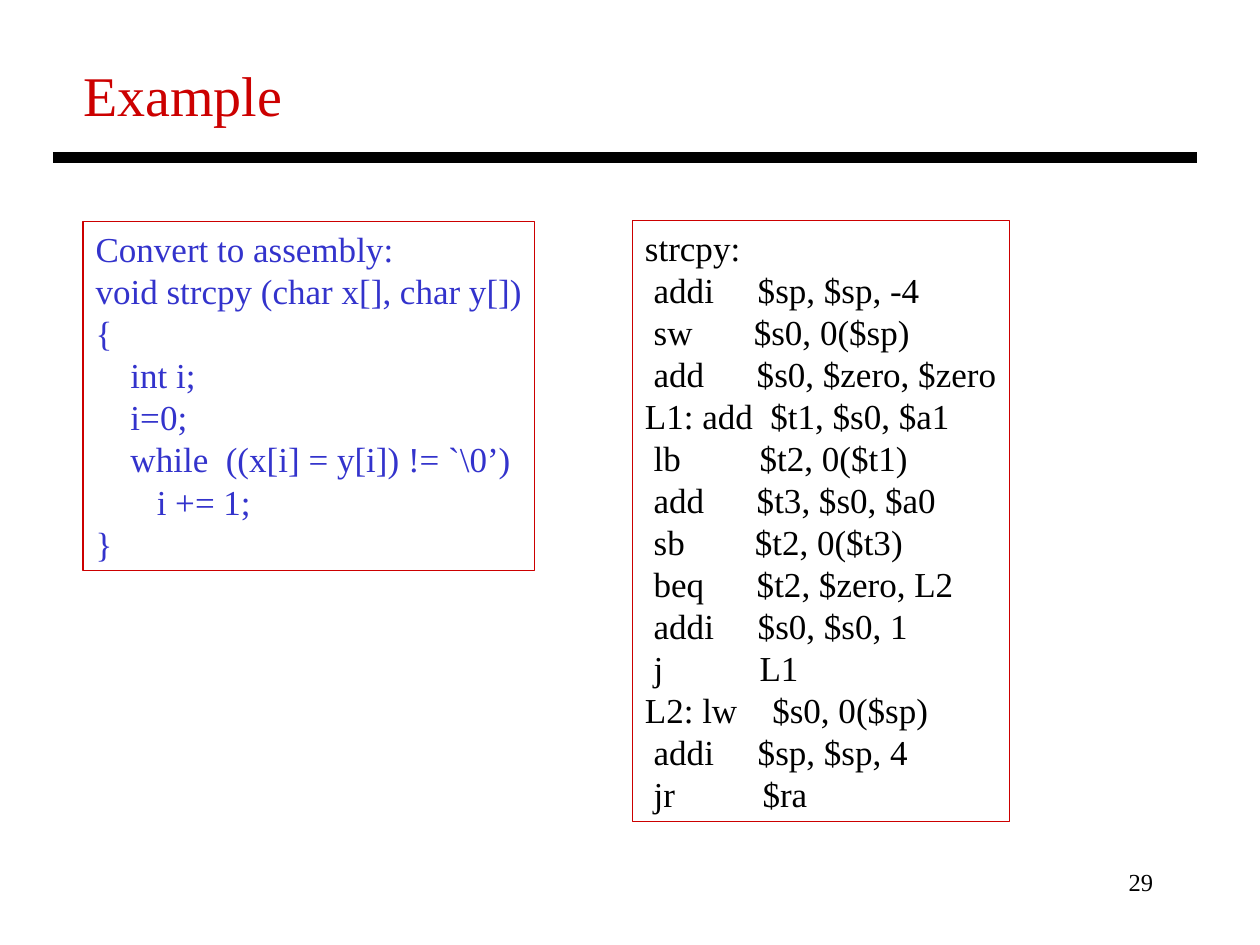
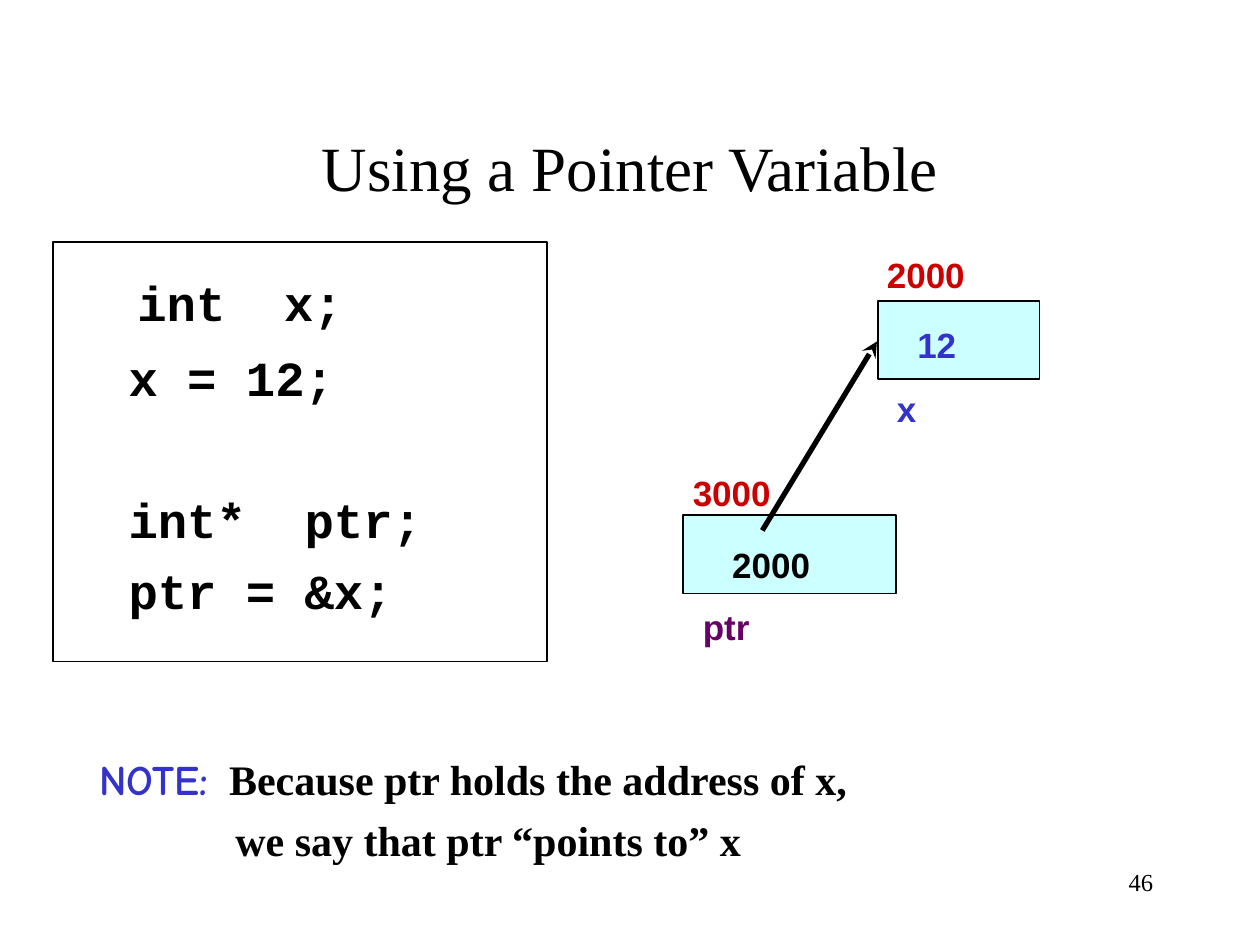
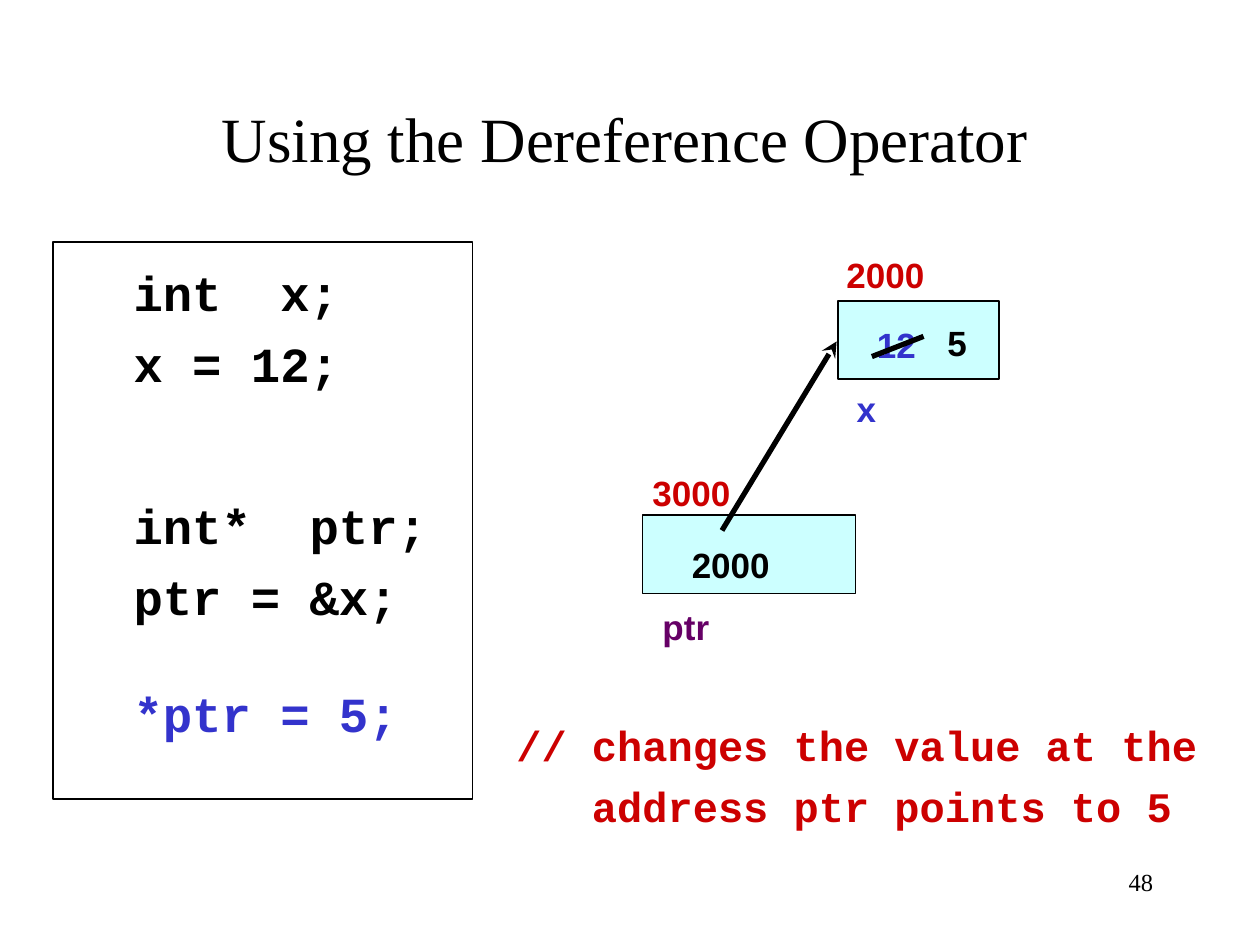
import dataclasses
import typing

import pptx
import pptx.dml.color
import pptx.enum.shapes
import pptx.enum.text
import pptx.oxml
import pptx.oxml.ns
import pptx.util
from pptx.util import Inches

# Shared look
BLACK, WHITE, RED, BLUE = "000000", "FFFFFF", "CC0000", "3333CC"
PURPLE, CYAN = "660066", "CCFFFF"
SERIF, SANS, MONO, COMIC = "Times New Roman", "Arial", "Courier New", "Comic Neue"
LEADING = 1.2

ALIGN = pptx.enum.text.PP_ALIGN
ANCHOR = pptx.enum.text.MSO_ANCHOR
RECT = pptx.enum.shapes.MSO_SHAPE.RECTANGLE
STRAIGHT = pptx.enum.shapes.MSO_CONNECTOR.STRAIGHT


class Place(typing.NamedTuple):
    x: float
    y: float
    w: float
    h: float

    def spans(self) -> list:
        return [Inches(v) for v in self]


@dataclasses.dataclass
class Style:
    font: str
    size: float
    color: str = BLACK
    bold: bool = False


@dataclasses.dataclass
class Line:
    text: str
    gap: float = 0
    color: str = ""
    left: float = 0
    hang: float = 0


@dataclasses.dataclass
class Cell:
    place: Place
    value: Line
    inset: tuple
    label: Line
    spot: tuple
    name: Line
    foot: tuple


LABEL = Style(SANS, 20, BLACK, True)
CODE = Style(MONO, 28, BLACK, True)
CELL_X = Cell(Place(6.97, 2.39, 1.28, 0.62), Line("12", color=BLUE), (0.31, 0.18),
              Line("2000", color=RED), (6.94, 1.96), Line("x", color=BLUE), (7.02, 3.03))
CELL_PTR = Cell(Place(5.42, 4.09, 1.69, 0.62), Line("2000"), (0.39, 0.22),
                Line("3000", color=RED), (5.4, 3.69), Line("ptr", color=PURPLE), (5.48, 4.76))


# Text
def tint(code: str) -> pptx.dml.color.RGBColor:
    return pptx.dml.color.RGBColor.from_string(code)


def dress(run, style: Style, color: str = "") -> None:
    run.font.name = style.font
    run.font.size = pptx.util.Pt(style.size)
    run.font.bold = style.bold
    run.font.color.rgb = tint(color or style.color)


def write(shape, lines: list[Line], style: Style, align=ALIGN.LEFT,
          anchor=ANCHOR.TOP, right: float = 0.1) -> None:
    frame = shape.text_frame
    frame.auto_size = pptx.enum.text.MSO_AUTO_SIZE.NONE
    frame.word_wrap = True
    frame.vertical_anchor = anchor
    frame.margin_right = Inches(right)
    frame.text = "\n".join(line.text for line in lines)
    for para, line in zip(frame.paragraphs, lines):
        para.alignment = align
        para.line_spacing = pptx.util.Pt(style.size * LEADING)
        para.space_before = pptx.util.Pt(line.gap)
        props = para._p.get_or_add_pPr()
        props.set("marL", str(Inches(line.left)))
        props.set("indent", str(-Inches(line.hang)))
        for run in para.runs:
            dress(run, style, line.color)


# Shapes
def box(slide, place: Place, fill: str = "", edge: str = "", width: float = 1):
    shape = slide.shapes.add_shape(RECT, *place.spans())
    shape.shadow.inherit = False
    if fill:
        shape.fill.solid()
        shape.fill.fore_color.rgb = tint(fill)
    else:
        shape.fill.background()
    if edge:
        shape.line.color.rgb = tint(edge)
        shape.line.width = pptx.util.Pt(width)
    else:
        shape.line.fill.background()
    return shape


def note(slide, place: Place, lines: list[Line], style: Style, **look):
    shape = slide.shapes.add_textbox(*place.spans())
    write(shape, lines, style, **look)
    return shape


def rule(slide, start: tuple, end: tuple, width: float, arrow: bool = False) -> None:
    line = slide.shapes.add_connector(STRAIGHT, *[Inches(v) for v in start + end])
    line.line.color.rgb = tint(BLACK)
    line.line.width = pptx.util.Pt(width)
    space = pptx.oxml.ns.nsdecls("a")
    props = line._element.spPr
    if arrow:
        props.ln.append(pptx.oxml.parse_xml(f'<a:tailEnd {space} type="stealth"/>'))
    props.append(pptx.oxml.parse_xml(f"<a:effectLst {space}/>"))


def code_box(slide, place: Place, lines: list[Line], left: float, top: float) -> None:
    shape = box(slide, place, WHITE, BLACK)
    write(shape, lines, CODE)
    shape.text_frame.margin_left = Inches(left)
    shape.text_frame.margin_top = Inches(top)


# Slide frame and memory sketch
def start(deck, title: str, place: Place, style: Style, number: str, **look):
    slide = deck.slides.add_slide(deck.slide_layouts[5])
    head = slide.shapes.title
    head.left, head.top, head.width, head.height = place.spans()
    write(head, [Line(title)], style, **look)
    note(slide, Place(7.17, 6.83, 2.08, 0.5), [Line(number)], Style(SERIF, 14),
         align=ALIGN.RIGHT)
    return slide


def sketch(slide, shift: float = 0) -> None:
    for cell in (CELL_X, CELL_PTR):
        place = cell.place._replace(x=cell.place.x + shift)
        shape = box(slide, place, CYAN, BLACK)
        write(shape, [cell.value], LABEL)
        frame = shape.text_frame
        frame.margin_left, frame.margin_top = map(Inches, cell.inset)
        for line, (x, y) in ((cell.label, cell.spot), (cell.name, cell.foot)):
            note(slide, Place(x + shift, y, 0.9, 0.43), [line], LABEL)
    rule(slide, (6.05 + shift, 4.21), (6.96 + shift, 2.71), 3, True)


# Slides
C_CODE = """Convert to assembly:
void strcpy (char x[], char y[])
{
    int i;
    i=0;
    while  ((x[i] = y[i]) != `\\0’)
       i += 1;
}"""

ASM_CODE = """strcpy:
 addi     $sp, $sp, -4
 sw       $s0, 0($sp)
 add      $s0, $zero, $zero
L1: add  $t1, $s0, $a1
 lb         $t2, 0($t1)
 add      $t3, $s0, $a0
 sb        $t2, 0($t3)
 beq      $t2, $zero, L2
 addi     $s0, $s0, 1
 j           L1
L2: lw    $s0, 0($sp)
 addi     $sp, $sp, 4
 jr          $ra"""


def strcpy_slide(deck) -> None:
    slide = start(deck, "Example", Place(0.56, 0.43, 8.5, 0.64),
                  Style(SERIF, 32, RED), "29")
    rule(slide, (0.42, 1.25), (9.5, 1.25), 6)
    for code, color, place in ((C_CODE, BLUE, Place(0.66, 1.76, 3.58, 2.77)),
                               (ASM_CODE, BLACK, Place(5.02, 1.75, 2.99, 4.77))):
        shape = box(slide, place, edge=RED, width=0.75)
        write(shape, [Line(text) for text in code.split("\n")],
              Style(SERIF, 20, color), right=0)


def pointer_slide(deck) -> None:
    slide = start(deck, "Using a Pointer Variable", Place(0.75, 0.42, 8.5, 1.25),
                  Style(SERIF, 36), "46", align=ALIGN.CENTER, anchor=ANCHOR.BOTTOM)
    code_box(slide, Place(0.42, 1.92, 3.92, 3.33),
             [Line("int  x;", left=0.07), Line("x = 12;", 9.5),
              Line("int*  ptr;", 47.6), Line("ptr = &x;", 7)], 0.6, 0.24)
    sketch(slide)
    bold = Style(SERIF, 24, BLACK, True)
    remark = note(slide, Place(0.69, 5.93, 8.6, 0.96),
                  [Line("NOTE:", left=1.03, hang=1.03),
                   Line("we say that ptr “points to” x", 6, left=1.08)], bold)
    first = remark.text_frame.paragraphs[0]
    dress(first.runs[0], Style(COMIC, 24, BLUE, True))
    rest = first.add_run()
    rest.text = "\tBecause ptr holds the address of x,"
    dress(rest, bold)


def value_slide(deck) -> None:
    slide = start(deck, "Using the Dereference Operator", Place(0.67, 0.19, 8.58, 1.25),
                  Style(SERIF, 36), "48", align=ALIGN.CENTER, anchor=ANCHOR.BOTTOM)
    code_box(slide, Place(0.42, 1.92, 3.33, 4.42),
             [Line("int  x;"), Line("x = 12;", 7), Line("int*  ptr;", 59.2),
              Line("ptr = &x;", 7), Line("*ptr = 5;", 33.1, BLUE)], 0.64, 0.16)
    sketch(slide, -0.32)
    fresh = box(slide, Place(7.42, 2.5, 0.35, 0.44), CYAN)
    write(fresh, [Line("5")], LABEL, right=0)
    rule(slide, (6.92, 2.83), (7.33, 2.67), 3)
    note(slide, Place(4, 5.66, 5.67, 0.92),
         [Line("// changes the value at the"), Line("   address ptr points to 5", 6)],
         Style(MONO, 24, RED, True))


def main() -> None:
    deck = pptx.Presentation()
    deck.slide_width, deck.slide_height = Inches(10), Inches(7.5)
    strcpy_slide(deck)
    pointer_slide(deck)
    value_slide(deck)
    deck.save("out.pptx")


if __name__ == "__main__":
    main()
